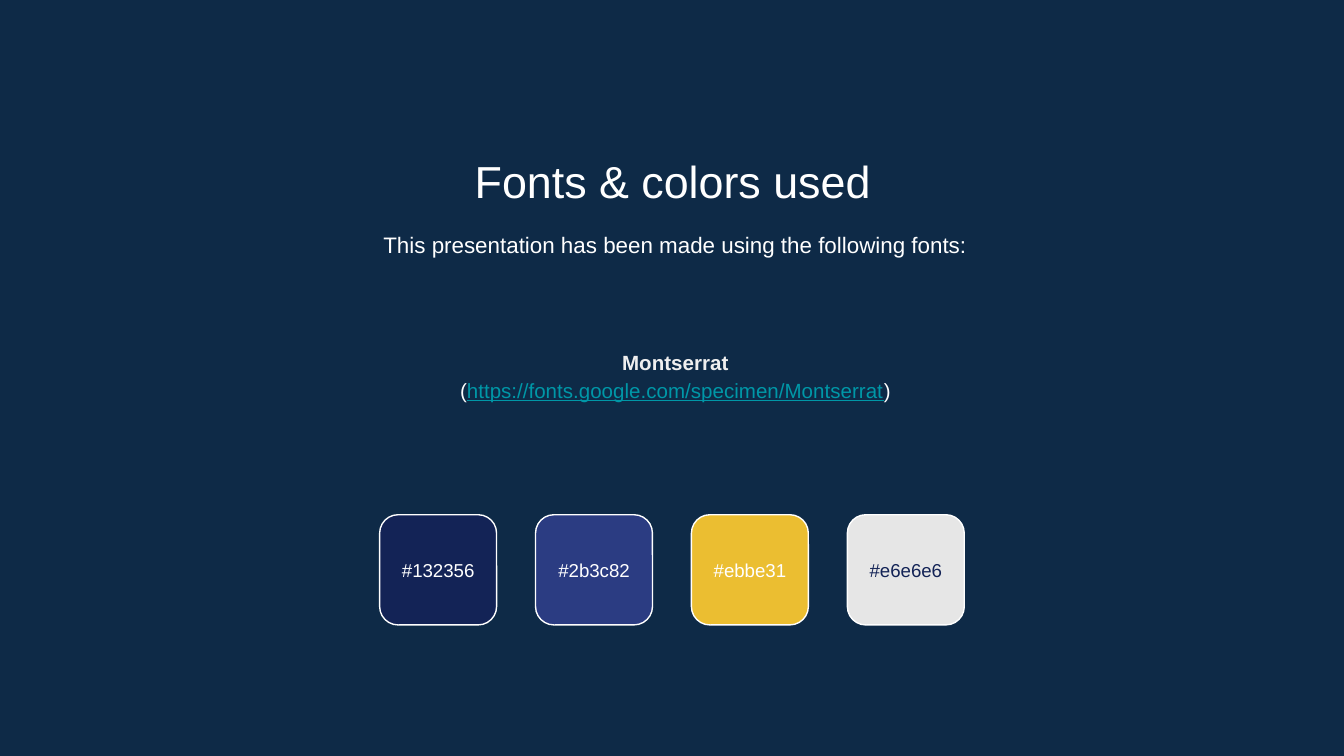
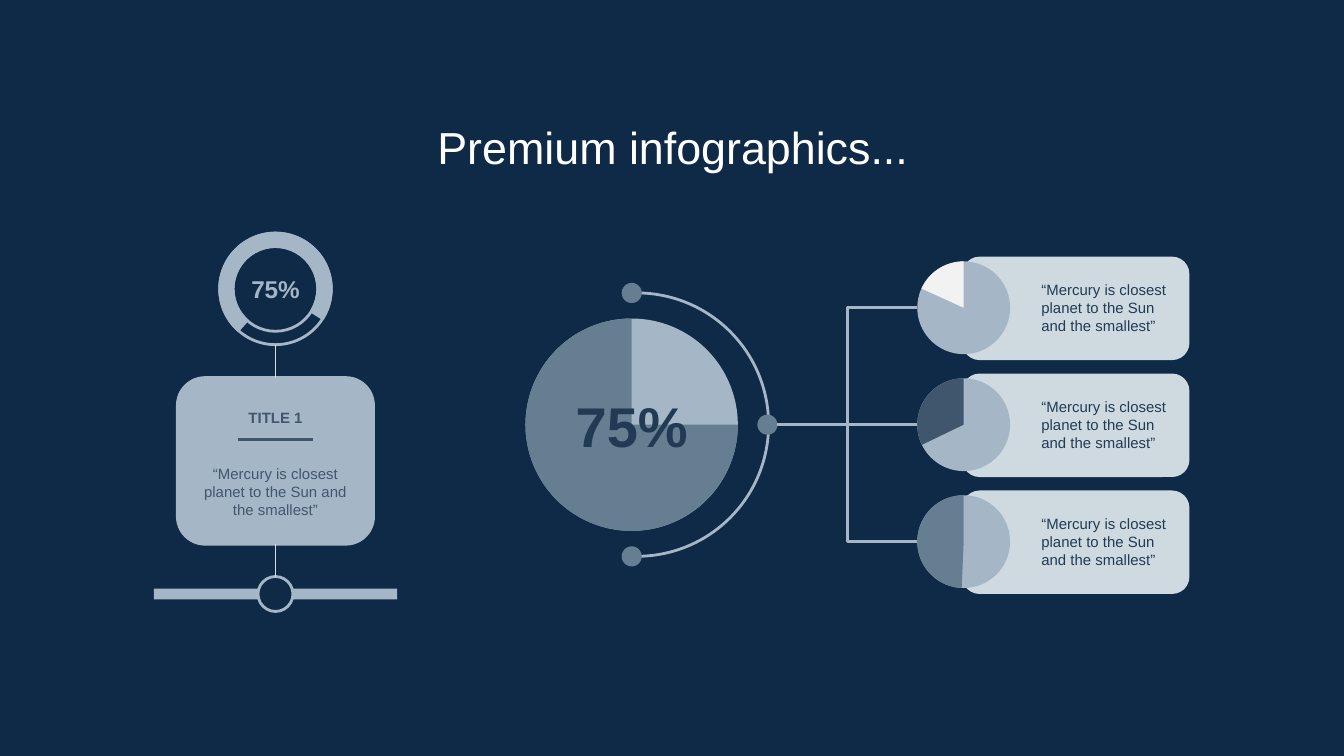
import pptx
import pptx.util
import pptx.dml.color
import pptx.enum.shapes
import pptx.enum.text
import pptx.oxml

Inches, Pt = pptx.util.Inches, pptx.util.Pt
SHAPE = pptx.enum.shapes.MSO_SHAPE
LINE = pptx.enum.shapes.MSO_CONNECTOR
ALIGN = pptx.enum.text.PP_ALIGN
ANCHOR = pptx.enum.text.MSO_ANCHOR

WIDTH = 10
HEIGHT = WIDTH * 9 / 16
FONT = "Arial"
COLORS = {
    "navy": "0E2A47", "white": "FFFFFF", "name": "EFEFEF", "link": "0097A7",
    "mist": "A5B7C6", "steel": "667E92", "slate": "40566D", "ink": "213B55",
    "card": "CFD9E0", "stem": "D7DFE5", "pale": "F2F2F2", "indigo": "132356",
}

# Content
FONTS_TITLE = "Fonts & colors used"
FONTS_INTRO = "This presentation has been made using the following fonts:"
FONT_LINES = [
    [("Montserrat", "name", {"bold": True})],
    [("(", "white", {}),
     ("https://fonts.google.com/specimen/Montserrat", "link", {"underline": True}),
     (")", "white", {})],
]
SWATCHES = [("#132356", "white"), ("#2b3c82", "white"),
            ("#ebbe31", "white"), ("#e6e6e6", "indigo")]

CHARTS_TITLE = "Premium infographics..."
QUOTE = "“Mercury is closest planet to the Sun and the smallest”"
SHARE = "75%"
STEP_TITLE = "TITLE 1"
# Text, wedge colour, angle where the wedge starts
CARDS = [(QUOTE, "pale", 204.5), (QUOTE, "slate", 154.2), (QUOTE, "steel", 92.4)]
TOP_ANGLE = 270


def rgb(name):
    return pptx.dml.color.RGBColor.from_string(COLORS.get(name, name))


def angle(degrees):
    """Adjustment value of an angle: 60000ths of a degree over 100000."""
    return degrees * 0.6


def centred(cx, cy, w, h):
    return cx - w / 2, cy - h / 2, w, h


def style_run(r, size, color, bold=False, underline=False):
    r.font.name, r.font.size = FONT, Pt(size)
    r.font.color.rgb = rgb(color)
    r.font.bold, r.font.underline = bold, underline


def frame(sp, anchor):
    tf = sp.text_frame
    tf.word_wrap = True
    tf.auto_size = pptx.enum.text.MSO_AUTO_SIZE.NONE
    tf.vertical_anchor = anchor
    tf.margin_left = tf.margin_right = tf.margin_top = tf.margin_bottom = Inches(0.1)
    return tf


def add_text(s, box, lines, size, color="white", bold=False, align=ALIGN.CENTER,
             anchor=ANCHOR.MIDDLE, spacing=None):
    """lines is one string, or a list of lines made of (text, color, style) runs."""
    if isinstance(lines, str):
        lines = [[(lines, color, {"bold": bold})]]
    tf = frame(s.shapes.add_textbox(*map(Inches, box)), anchor)
    for i, line in enumerate(lines):
        p = tf.add_paragraph() if i else tf.paragraphs[0]
        p.alignment = align
        p.line_spacing = spacing
        for text, run_color, style in line:
            r = p.add_run()
            r.text = text
            style_run(r, size, run_color, **style)


def add_shape(s, kind, box, fill=None, line=None, width=1.5, adj=()):
    sp = s.shapes.add_shape(kind, *map(Inches, box))
    sp.shadow.inherit = False
    for i, value in enumerate(adj):
        sp.adjustments[i] = value
    if fill:
        sp.fill.solid()
        sp.fill.fore_color.rgb = rgb(fill)
    else:
        sp.fill.background()
    if line:
        sp.line.color.rgb = rgb(line)
        sp.line.width = Pt(width)
    else:
        sp.line.fill.background()


def add_line(s, start, end, color, width=1.5, kind=LINE.STRAIGHT):
    cn = s.shapes.add_connector(kind, *map(Inches, start + end))
    cn.line.color.rgb = rgb(color)
    cn.line.width = Pt(width)
    cn._element.spPr.append(pptx.oxml.parse_xml(
        '<a:effectLst xmlns:a="http://schemas.openxmlformats.org/drawingml/2006/main"/>'))


def add_pie(s, cx, cy, size, wedge, start, end):
    box = centred(cx, cy, size, size)
    add_shape(s, SHAPE.OVAL, box, "mist")
    add_shape(s, SHAPE.PIE, box, wedge, adj=(angle(start), angle(end)))


def add_slide(prs, title, top):
    s = prs.slides.add_slide(prs.slide_layouts[5])
    sp = s.shapes.title
    sp.left, sp.top, sp.width, sp.height = map(Inches, (1.15, top, 7.71, 0.53))
    tf = frame(sp, ANCHOR.TOP)
    tf.text = title
    tf.paragraphs[0].alignment = ALIGN.CENTER
    style_run(tf.paragraphs[0].runs[0], 24, "white")
    return s


def fonts_slide(prs):
    s = add_slide(prs, FONTS_TITLE, 1.04)
    left, width = 1.17, 7.71
    add_text(s, (left, 1.59, width, 0.48), FONTS_INTRO, 12,
             anchor=ANCHOR.TOP, spacing=1.15)
    add_text(s, (left, 2.1, width, 1.37), FONT_LINES, 11, spacing=1.15)

    w, h, pitch, cy = 0.87, 0.82, 1.16, 4.24
    first = WIDTH / 2 - pitch * (len(SWATCHES) - 1) / 2
    for i, (code, color) in enumerate(SWATCHES):
        cx = first + i * pitch
        add_shape(s, SHAPE.ROUNDED_RECTANGLE, centred(cx, cy, w, h),
                  code[1:].upper(), "white", 0.75)
        add_text(s, centred(cx, cy, w, 0.48), code, 10, color)


def add_timeline_step(s):
    cx, ring_y, card_y, base_y = 2.05, 2.15, 3.43, 4.42
    ring, card_w, card_h, knob = 0.83, 1.46, 1.24, 0.26
    ring_box = centred(cx, ring_y, ring, ring)
    card_top, card_bottom = card_y - card_h / 2, card_y + card_h / 2

    add_shape(s, SHAPE.RECTANGLE, centred(cx, base_y, 1.81, 0.08), "mist")
    add_shape(s, SHAPE.DONUT, ring_box, None, "mist", adj=(0.12,))
    add_shape(s, SHAPE.BLOCK_ARC, ring_box, "mist", "mist",
              adj=(angle(131.9), angle(32.1), 0.12))
    add_shape(s, SHAPE.ROUNDED_RECTANGLE, centred(cx, card_y, card_w, card_h),
              "mist", "mist")
    add_shape(s, SHAPE.OVAL, centred(cx, base_y, knob, knob), "navy", "mist")
    for y1, y2 in [(ring_y + ring / 2, card_top), (card_bottom, base_y - knob / 2)]:
        add_line(s, (cx, y1), (cx, y2), "stem", 0.75)

    add_text(s, centred(cx, 3.66, 1.27, 0.5), QUOTE, 8, "slate")
    add_line(s, (cx - 0.28, 3.27), (cx + 0.28, 3.27), "slate")
    add_text(s, centred(cx, 3.11, 0.92, 0.24), STEP_TITLE, 8, "slate", True)
    add_text(s, centred(cx, ring_y, 0.63, 0.4), SHARE, 13, "mist", True)


def add_hub(s):
    cx, cy, radius, dot = 4.7, 3.16, 0.98, 0.15
    pitch, card_x, card_w, pie_x, pie = 0.87, 7.16, 1.69, 7.17, 0.69
    rows = [cy + (i - 1) * pitch for i in range(len(CARDS))]

    for y, (text, _, _) in zip(rows, CARDS):
        add_shape(s, SHAPE.ROUNDED_RECTANGLE, (card_x, y - 0.38, card_w, 0.77), "card")
        add_text(s, (7.65, y - 0.24, 1.24, 0.48), text, 8, "ink", align=ALIGN.LEFT)

    add_shape(s, SHAPE.ARC, centred(cx + 0.04, cy, 2 * radius, 2 * radius),
              None, "mist", adj=(angle(TOP_ANGLE), angle(88.3)))
    add_pie(s, cx, cy, 1.58, "steel", 0, TOP_ANGLE)
    for y, (_, wedge, start) in zip(rows, CARDS):
        add_pie(s, pie_x, y, pie, wedge, start, TOP_ANGLE)

    right = cx + radius + 0.03
    for x, y in [(cx, cy - radius), (cx, cy + radius), (right, cy)]:
        add_shape(s, SHAPE.OVAL, centred(x, y, dot, dot), "steel")
    for y in rows:
        add_line(s, (right + dot / 2, cy), (pie_x - pie / 2, y), "mist", kind=LINE.ELBOW)
    add_text(s, centred(cx, cy, 1.09, 0.69), SHARE, 30, "ink", True)


def main():
    prs = pptx.Presentation()
    prs.slide_width, prs.slide_height = Inches(WIDTH), Inches(HEIGHT)
    background = prs.slide_master.background.fill
    background.solid()
    background.fore_color.rgb = rgb("navy")

    fonts_slide(prs)
    s = add_slide(prs, CHARTS_TITLE, 0.79)
    add_timeline_step(s)
    add_hub(s)
    prs.save("out.pptx")


if __name__ == "__main__":
    main()
